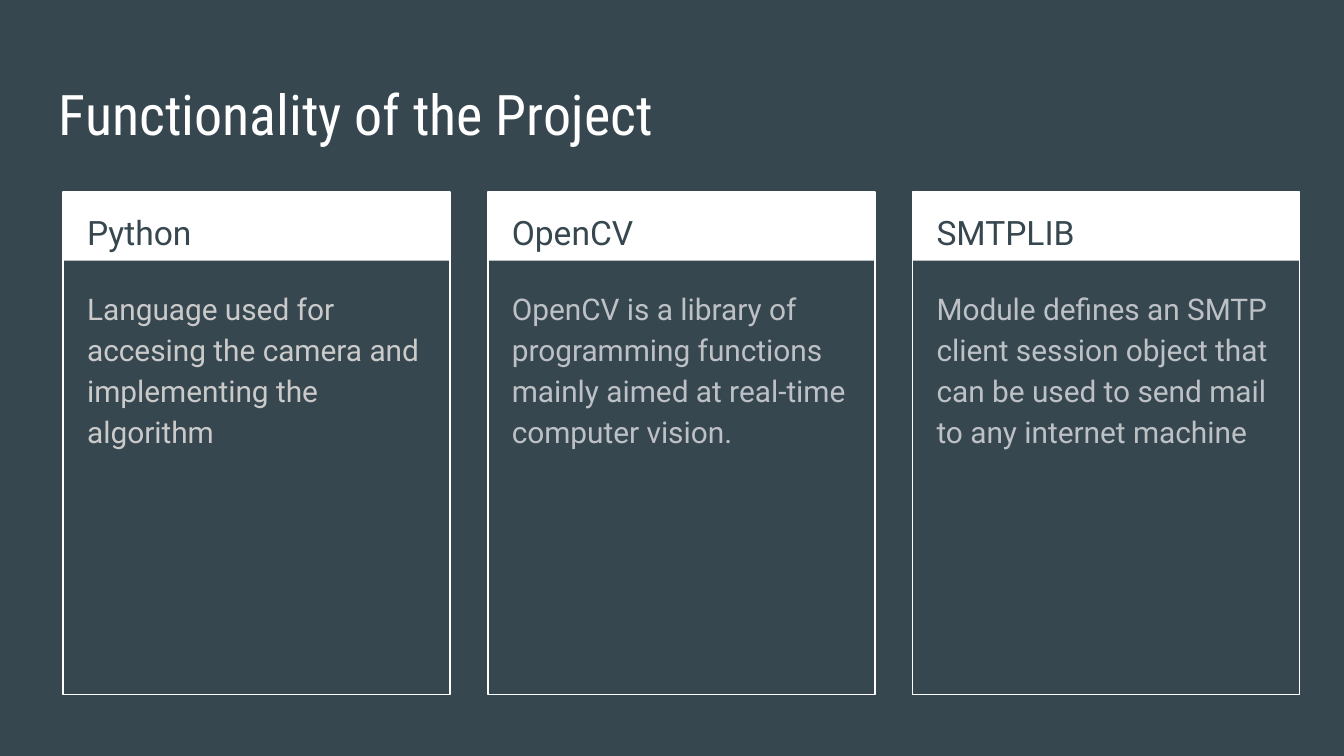
from typing import NamedTuple

from pptx import Presentation
from pptx.dml.color import RGBColor
from pptx.enum.shapes import MSO_SHAPE
from pptx.enum.text import MSO_ANCHOR
from pptx.util import Inches, Pt

SLATE = "37474F"
WHITE = "FFFFFF"
FIRST_LEFT, PITCH = 0.47, 3.16
CARD_TOP, CARD_WIDTH, CARD_HEIGHT, HEADER_HEIGHT = 1.43, 2.88, 3.74, 0.51


class Box(NamedTuple):
    left: float
    top: float
    width: float
    height: float

    def lengths(self):
        return [Inches(value) for value in self]


class TextStyle(NamedTuple):
    font: str
    size: float
    color: str
    line_spacing: float = 1.0
    space_after: float = 0


class Card(NamedTuple):
    heading: str
    body: str
    body_color: str


TITLE = TextStyle("Roboto Condensed", 30, WHITE)
HEADING = TextStyle("Roboto", 18, SLATE, 1.15)

CARDS = [
    Card("Python",
         "Language used for accesing the camera and implementing the algorithm",
         "CACACA"),
    Card("OpenCV",
         "OpenCV is a library of programming functions mainly aimed at "
         "real-time computer vision.",
         "BDC1C6"),
    Card("SMTPLIB",
         "Module defines an SMTP client session object that can be used to "
         "send mail to any internet machine",
         "BDC1C6"),
]


def rgb(color: str) -> RGBColor:
    return RGBColor.from_string(color)


def add_text(slide, box: Box, text: str, style: TextStyle) -> None:
    tf = slide.shapes.add_textbox(*box.lengths()).text_frame
    tf.word_wrap = True
    tf.vertical_anchor = MSO_ANCHOR.TOP
    tf.margin_left = tf.margin_right = Inches(0.1)
    tf.margin_top = tf.margin_bottom = Inches(0.1)
    p = tf.paragraphs[0]
    p.line_spacing = style.line_spacing
    p.space_after = Pt(style.space_after)
    r = p.add_run()
    r.text = text
    r.font.name = style.font
    r.font.size = Pt(style.size)
    r.font.color.rgb = rgb(style.color)


def add_frame(slide, left: float) -> None:
    """Draw the filled header and the outlined card as one group."""
    group = slide.shapes.add_group_shape()
    header_box = Box(left, CARD_TOP, CARD_WIDTH, HEADER_HEIGHT)
    header = group.shapes.add_shape(MSO_SHAPE.RECTANGLE, *header_box.lengths())
    header.shadow.inherit = False
    header.fill.solid()
    header.fill.fore_color.rgb = rgb(WHITE)
    header.line.fill.background()

    outline_box = Box(left, CARD_TOP, CARD_WIDTH, CARD_HEIGHT)
    outline = group.shapes.add_shape(MSO_SHAPE.RECTANGLE, *outline_box.lengths())
    outline.shadow.inherit = False
    outline.fill.background()
    outline.line.color.rgb = rgb(WHITE)
    outline.line.width = Pt(0.75)


def add_card(slide, left: float, card: Card) -> None:
    add_frame(slide, left)
    add_text(slide, Box(left + 0.08, CARD_TOP, 2.73, 0.5), card.heading, HEADING)
    body_style = TextStyle("Roboto", 16, card.body_color, 1.15, 16)
    add_text(slide, Box(left + 0.08, 2.02, 2.71, 3.06), card.body, body_style)


def main() -> None:
    prs = Presentation()
    prs.slide_width = Inches(10)
    prs.slide_height = prs.slide_width * 9 // 16
    slide = prs.slides.add_slide(prs.slide_layouts[6])
    slide.background.fill.solid()
    slide.background.fill.fore_color.rgb = rgb(SLATE)

    add_text(slide, Box(0.34, 0.49, 9.32, 0.63),
             "Functionality of the Project", TITLE)
    for i, card in enumerate(CARDS):
        add_card(slide, FIRST_LEFT + i * PITCH, card)
    prs.save("out.pptx")


if __name__ == "__main__":
    main()
